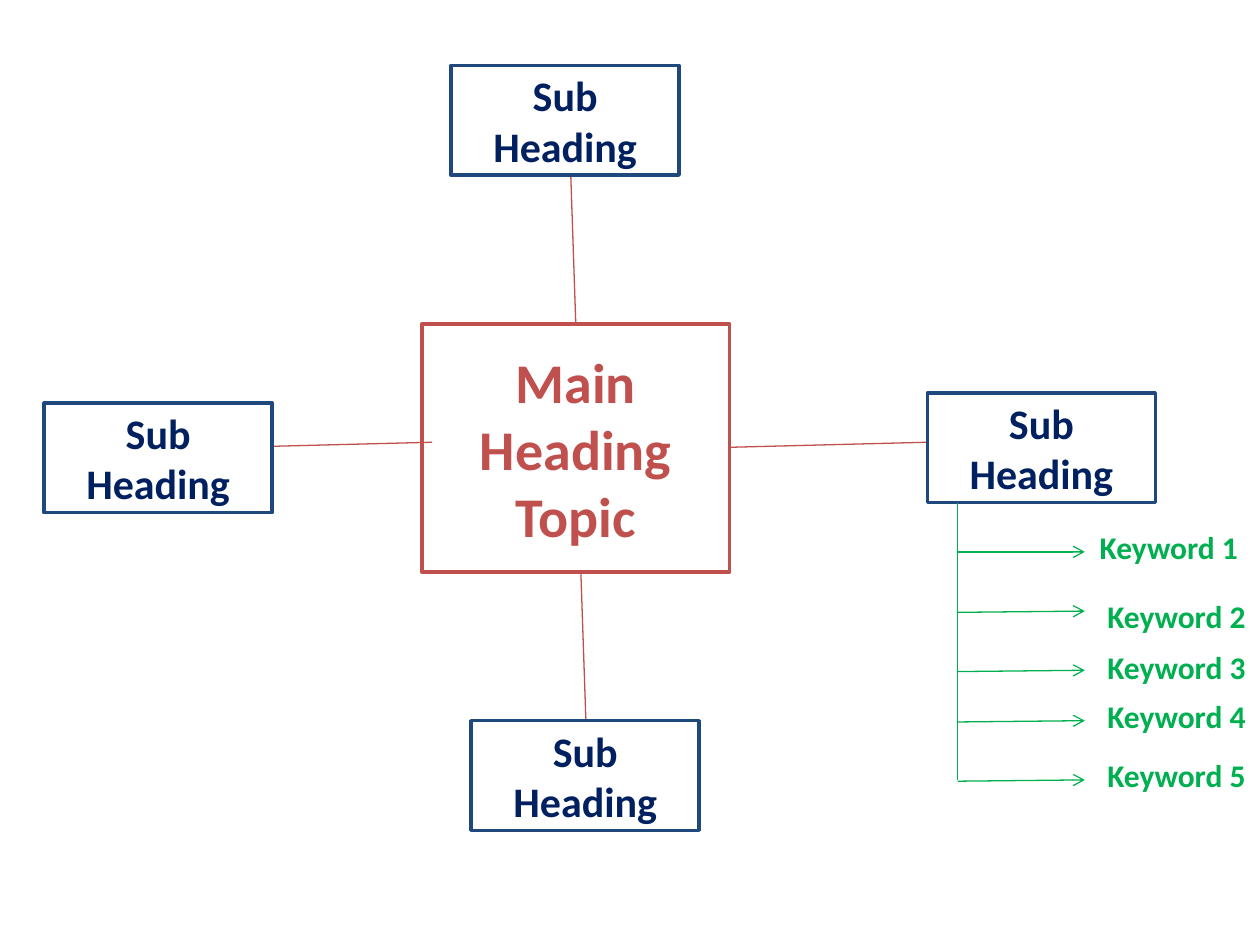
"""Build a mind map slide with one main topic, four sub headings and keywords."""
from lxml.etree import SubElement
from pptx import Presentation
from pptx.dml.color import RGBColor
from pptx.enum.shapes import MSO_CONNECTOR, MSO_SHAPE
from pptx.enum.text import MSO_ANCHOR, MSO_AUTO_SIZE, PP_ALIGN
from pptx.oxml.ns import qn
from pptx.util import Inches, Pt

WHITE = RGBColor(0xFF, 0xFF, 0xFF)
RED = RGBColor(0xC0, 0x50, 0x4D)
BLUE = RGBColor(0x1F, 0x49, 0x7D)
NAVY = RGBColor(0x00, 0x20, 0x60)
GREEN = RGBColor(0x00, 0xB0, 0x50)


class MindMap:
    """Hold the slide and the font, and draw the parts of a mind map."""

    font_name = "Calibri"

    def __init__(self, slide):
        self.slide = slide

    def set_text(self, shape, text, size, color):
        """Put one bold paragraph into a shape and return it."""
        paragraph = shape.text_frame.paragraphs[0]
        paragraph.text = text
        paragraph.font.name = self.font_name
        paragraph.font.size = Pt(size)
        paragraph.font.bold = True
        paragraph.font.color.rgb = color
        return paragraph

    def box(self, text, left, top, width, height, size, color, border):
        """Draw an outlined box with centred text."""
        shape = self.slide.shapes.add_shape(
            MSO_SHAPE.RECTANGLE, Inches(left), Inches(top), Inches(width), Inches(height))
        shape.shadow.inherit = False
        shape.fill.solid()
        shape.fill.fore_color.rgb = WHITE
        shape.line.color.rgb = border
        shape.line.width = Pt(2)
        shape.text_frame.word_wrap = True
        shape.text_frame.vertical_anchor = MSO_ANCHOR.MIDDLE
        self.set_text(shape, text, size, color).alignment = PP_ALIGN.CENTER

    def line(self, start, end, color, arrow=False):
        """Draw a thin straight line, with an arrowhead on request."""
        connector = self.slide.shapes.add_connector(
            MSO_CONNECTOR.STRAIGHT, *map(Inches, start + end))
        connector.line.color.rgb = color
        connector.line.width = Pt(0.75)
        properties = connector._element.spPr
        if arrow:
            SubElement(properties.find(qn("a:ln")), qn("a:tailEnd"), type="arrow")
        SubElement(properties, qn("a:effectLst"))

    def label(self, text, left, top, width):
        """Add a keyword that does not wrap."""
        shape = self.slide.shapes.add_textbox(
            Inches(left), Inches(top), Inches(width), Inches(0.4))
        shape.text_frame.word_wrap = False
        shape.text_frame.auto_size = MSO_AUTO_SIZE.SHAPE_TO_FIT_TEXT
        self.set_text(shape, text, 18, GREEN)


def main():
    """Build and save the slide."""
    presentation = Presentation()
    presentation.slide_width = Inches(10)
    presentation.slide_height = Inches(7.5)
    mind_map = MindMap(presentation.slides.add_slide(presentation.slide_layouts[6]))

    mind_map.box("Main Heading Topic", 3.35, 2.57, 2.44, 1.97, 32, RED, RED)

    branches = [
        ((5.79, 3.55), (7.36, 3.51)),
        ((1.85, 3.55), (3.43, 3.51)),
        ((4.53, 1.39), (4.57, 2.57)),
        ((4.61, 4.54), (4.65, 5.72)),
    ]
    for start, end in branches:
        mind_map.line(start, end, RED)

    for left, top in [(3.58, 0.52), (3.74, 5.72), (7.36, 3.12), (0.35, 3.2)]:
        mind_map.box("Sub Heading", left, top, 1.81, 0.87, 24, NAVY, BLUE)

    stem = 7.6
    mind_map.line((stem, 3.99), (stem, 6.19), GREEN)
    keywords = [
        ("Keyword 1 ", 4.38, 4.38, 8.63, 4.14),
        ("Keyword 2", 4.86, 4.85, 8.69, 4.69),
        ("Keyword 3", 5.33, 5.32, 8.69, 5.09),
        ("Keyword 4", 5.73, 5.72, 8.69, 5.48),
        ("Keyword 5", 6.2, 6.19, 8.69, 5.95),
    ]
    for text, start_y, end_y, left, top in keywords:
        mind_map.line((stem, start_y), (8.61, end_y), GREEN, arrow=True)
        mind_map.label(text, left, top, 10 - left)

    presentation.save("out.pptx")


main()
